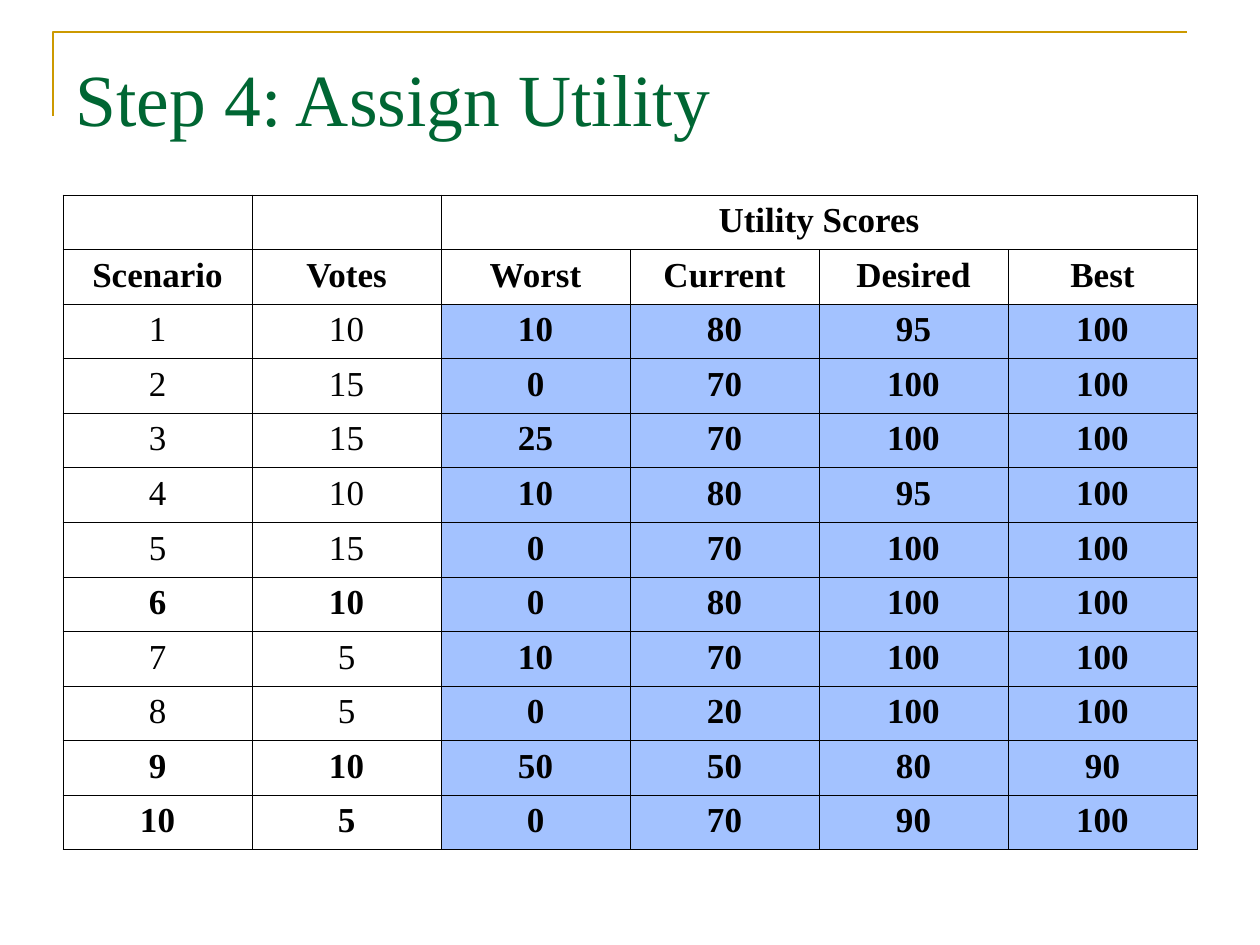
from lxml import etree
from pptx import Presentation
from pptx.dml.color import RGBColor
from pptx.enum.text import MSO_ANCHOR, PP_ALIGN
from pptx.oxml.ns import qn
from pptx.util import Emu, Pt

TOP, LEFT, CENTER = MSO_ANCHOR.TOP, PP_ALIGN.LEFT, PP_ALIGN.CENTER
EMU_PER_PX = 914400 / 126
FONT = "Times New Roman"
COLORS = {"title": "006633", "frame": "CC9900", "text": "000000", "border": "000000", "score": "A3C2FF"}
BORDER_WIDTH = Pt(0.45)
HEADINGS = [
    ["", "", "Utility Scores", "", "", ""],
    ["Scenario", "Votes", "Worst", "Current", "Desired", "Best"],
]
SCENARIOS = [
    [1, 10, 10, 80, 95, 100],
    [2, 15, 0, 70, 100, 100],
    [3, 15, 25, 70, 100, 100],
    [4, 10, 10, 80, 95, 100],
    [5, 15, 0, 70, 100, 100],
    [6, 10, 0, 80, 100, 100],
    [7, 5, 10, 70, 100, 100],
    [8, 5, 0, 20, 100, 100],
    [9, 10, 50, 50, 80, 90],
    [10, 5, 0, 70, 90, 100],
]
BOLD_SCENARIOS = {6, 9, 10}
FIRST_SCORE_COLUMN = 2


def px(length):
    """Turn pixels into EMU."""
    return Emu(round(length * EMU_PER_PX))


def color(name):
    """Look up a named colour."""
    return RGBColor.from_string(COLORS[name])


def add_run(paragraph, text, size, color_name, bold=False):
    """Append one formatted run to a paragraph."""
    run = paragraph.add_run()
    run.text = text
    run.font.name = FONT
    run.font.size = Pt(size)
    run.font.bold = bold
    run.font.color.rgb = color(color_name)


def add_title(slide, text):
    """Place and fill the title placeholder."""
    title = slide.shapes.title
    title.left, title.top, title.width, title.height = px(63), px(38), px(1134), px(157)
    frame = title.text_frame
    frame.vertical_anchor = TOP
    frame.margin_top = px(15)
    paragraph = frame.paragraphs[0]
    paragraph.alignment = LEFT
    add_run(paragraph, text, 42, "title")


def add_corner_frame(slide):
    """Draw the open corner line around the title."""
    builder = slide.shapes.build_freeform(53, 116, scale=EMU_PER_PX)
    builder.add_line_segments([(53, 32), (1187, 32)], close=False)
    shape = builder.convert_to_shape()
    shape.shadow.inherit = False
    shape.fill.background()
    shape.line.color.rgb = color("frame")
    shape.line.width = Pt(1.5)


def set_borders(cell):
    """Give a cell a thin line on all four sides."""
    properties = cell._tc.get_or_add_tcPr()
    for side in ("a:lnL", "a:lnR", "a:lnT", "a:lnB"):
        line = etree.SubElement(properties, qn(side), w=str(BORDER_WIDTH))
        fill = etree.SubElement(line, qn("a:solidFill"))
        etree.SubElement(fill, qn("a:srgbClr"), val=COLORS["border"])


def format_cell(cell, value, bold, scored):
    """Set the border, fill and text of a table cell."""
    set_borders(cell)
    if scored:
        cell.fill.solid()
        cell.fill.fore_color.rgb = color("score")
    else:
        cell.fill.background()
    cell.vertical_anchor = TOP
    paragraph = cell.text_frame.paragraphs[0]
    paragraph.alignment = CENTER
    if value != "":
        add_run(paragraph, str(value), 20, "text", bold)


def add_utility_table(slide):
    """Build the table of votes and utility scores."""
    rows = HEADINGS + SCENARIOS
    table = slide.shapes.add_table(len(rows), len(rows[0]), px(63), px(195), px(1134), px(655)).table
    table.first_row = False
    table.horz_banding = False
    for row_index, values in enumerate(rows):
        heading = row_index < len(HEADINGS)
        for column_index, value in enumerate(values):
            score_column = column_index >= FIRST_SCORE_COLUMN
            bold = heading or score_column or values[0] in BOLD_SCENARIOS
            cell = table.cell(row_index, column_index)
            format_cell(cell, value, bold, score_column and not heading)
    table.cell(0, FIRST_SCORE_COLUMN).merge(table.cell(0, len(rows[0]) - 1))


def main():
    """Build and save the slide."""
    presentation = Presentation()
    presentation.slide_width, presentation.slide_height = px(1260), px(945)
    slide = presentation.slides.add_slide(presentation.slide_layouts[5])
    add_corner_frame(slide)
    add_title(slide, "Step 4: Assign Utility")
    add_utility_table(slide)
    presentation.save("out.pptx")


if __name__ == "__main__":
    main()
